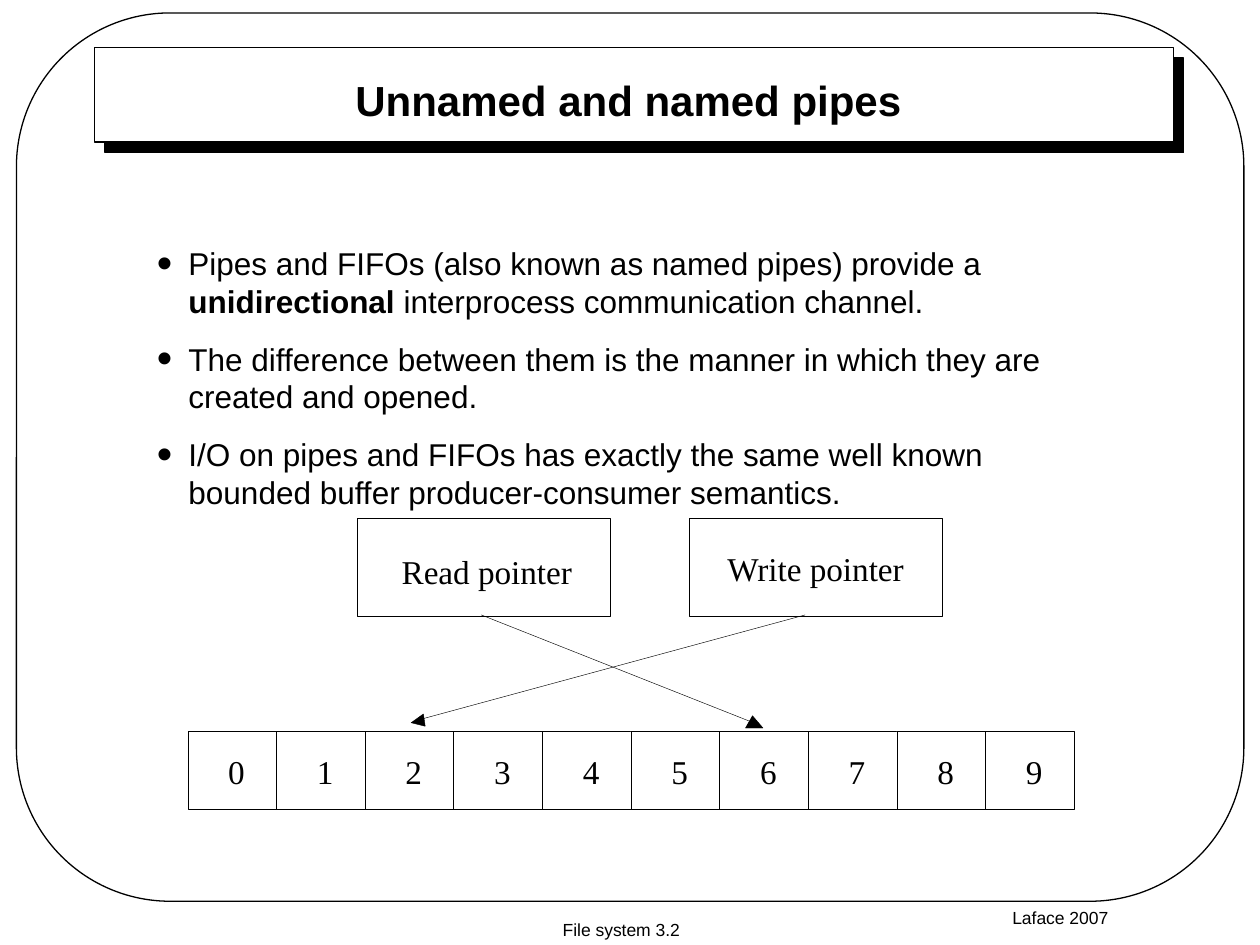
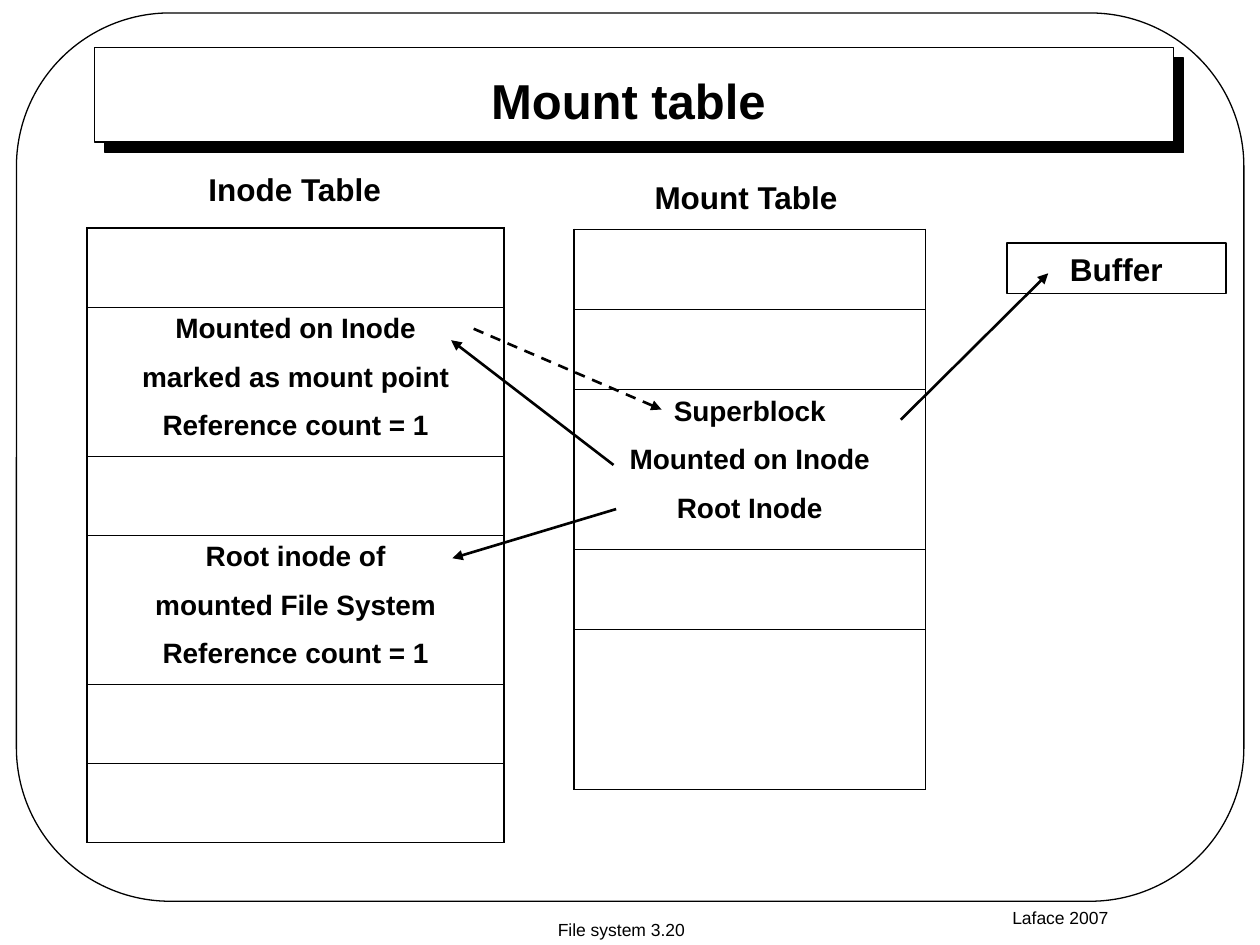
from lxml.etree import SubElement
from pptx import Presentation
from pptx.dml.color import RGBColor
from pptx.enum.dml import MSO_LINE
from pptx.enum.shapes import MSO_CONNECTOR, MSO_SHAPE
from pptx.enum.text import MSO_ANCHOR, MSO_AUTO_SIZE, PP_ALIGN
from pptx.oxml import parse_xml
from pptx.oxml.ns import nsdecls, qn
from pptx.util import Pt

COLORS = {"ink": "000000", "paper": "FFFFFF"}
HAIRLINE = 0.25

# Shared frame: left, top, width, height in points
BAND = (54, 27.2, 616.5, 54)
OUTLINE = (9.4, 7.4, 701.4, 507.6)
TITLE = (88, 38.9, 542.2, 36)
CREDIT = (491.8, 514.8, 228.2, 25.2)
FOOTER = (294.5, 521.3, 121, 19.4)

SANS = {"name": "Arial", "size": Pt(10), "bold": False}
SERIF = {**SANS, "name": "Times New Roman", "size": Pt(19)}
HEADING = {**SANS, "size": Pt(18), "bold": True}
ENTRY = {**SANS, "size": Pt(16), "bold": True}
MARGINS = {"margin_left": Pt(7.2), "margin_right": Pt(7.2),
           "margin_top": Pt(3.6), "margin_bottom": Pt(3.6)}
TOP = {**MARGINS, "word_wrap": True, "auto_size": MSO_AUTO_SIZE.NONE,
       "vertical_anchor": MSO_ANCHOR.TOP}
MIDDLE = {**TOP, "vertical_anchor": MSO_ANCHOR.MIDDLE}
CENTER = {"alignment": PP_ALIGN.CENTER}

PIPES = {
    "title": "Unnamed and named pipes", "title_size": 24, "footer": "File system 3.2",
    "body_box": (82.5, 136.1, 553.7, 324),
    # each point is a list of (text, bold) runs
    "points": [
        [("Pipes and FIFOs (also known as named pipes) provide a ", False),
         ("unidirectional", True),
         (" interprocess communication channel.", False)],
        [("The difference between them is the manner in which they are "
          "created and opened.", False)],
        [("I/O on pipes and FIFOs has exactly the same well known "
          "bounded buffer producer-consumer semantics.", False)],
    ],
    "slots": 10, "slot_box": (107.3, 417.8, 50.65, 44.6),
    # label, box, left and top inset
    "pointers": [("Read pointer", (204.4, 296.2, 144.6, 56.2), (3, 4)),
                 ("Write pointer", (393.8, 296.2, 144.6, 56.2), (0, 1))],
    # line start, line end, arrowhead corners
    "pointer_arrows": [
        ((275, 351.4), (431.3, 413.3), [(429.8, 409), (435.6, 416.2), (425.5, 416.2)]),
        ((460.1, 351.4), (237.6, 411.8), [(243.4, 414.7), (234.7, 413.3), (241.9, 407.5)]),
    ],
}

MOUNT = {
    "title": "Mount table", "title_size": 28, "footer": "File system 3.20",
    # heading, heading box, table left, top and width, then (row height, lines)
    "tables": [
        ("Inode Table", (91.4, 93.9, 154.1, 28.8), (49.8, 130.3, 238.3), [
            (45.2, []),
            (85.2, ["Mounted on Inode", "marked as mount point", "Reference count = 1"]),
            (45.2, []),
            (85.2, ["Root inode of", "mounted File System", "Reference count = 1"]),
            (45.2, []), (45.2, [])]),
        ("Mount Table", (349.3, 98.2, 154.1, 28.8), (328.1, 131.2, 200.7), [
            (45.7, []), (45.7, []),
            (91.4, ["Superblock", "Mounted on Inode", "Root Inode"]),
            (45.7, []), (91.4, [])]),
    ],
    "buffer": ("Buffer", (575.3, 139, 125.3, 28.8)),
    # start, end, dash style
    "links": [((514.8, 239.8), (599, 156.2), None),
              ((350.6, 265.7), (257.8, 194.4), None),
              ((270.7, 187.9), (378, 234), MSO_LINE.DASH),
              ((352.1, 290.9), (258.5, 319), None)],
}


def rgb(key):
    return RGBColor.from_string(COLORS[key])


def apply(target, values):
    for name, value in values.items():
        setattr(target, name, value)


def add_run(p, text, font):
    r = p.add_run()
    r.text = text
    apply(r.font, font)
    r.font.color.rgb = rgb("ink")


def write(tf, lines, font, frame, para=CENTER):
    apply(tf, frame)
    for i, line in enumerate(lines):
        p = tf.add_paragraph() if i else tf.paragraphs[0]
        apply(p, para)
        add_run(p, line, font)


def place(sp, box):
    apply(sp, dict(zip(("left", "top", "width", "height"), map(Pt, box))))


def add_label(s, text, box, font, frame=TOP):
    write(s.shapes.add_textbox(*map(Pt, box)).text_frame, [text], font, frame)


def style_outline(sp, width, fill=None):
    sp.shadow.inherit = False
    if fill:
        sp.fill.solid()
        sp.fill.fore_color.rgb = rgb(fill)
    else:
        sp.fill.background()
    sp.line.color.rgb = rgb("ink")
    sp.line.width = Pt(width)


def add_box(s, box, width, fill=None, kind=MSO_SHAPE.RECTANGLE):
    sp = s.shapes.add_shape(kind, *map(Pt, box))
    style_outline(sp, width, fill)
    return sp


def add_line(s, start, end, width, dash=None, arrow=False):
    c = s.shapes.add_connector(MSO_CONNECTOR.STRAIGHT, *map(Pt, start + end))
    c.line.color.rgb = rgb("ink")
    c.line.width = Pt(width)
    if dash:
        c.line.dash_style = dash
    if arrow:
        SubElement(c.element.spPr.find(qn("a:ln")), qn("a:tailEnd"), type="triangle")
    SubElement(c.element.spPr, qn("a:effectLst"))


def add_hard_shadow(sp):
    effects = sp.element.spPr.find(qn("a:effectLst"))
    effects.append(parse_xml(
        f'<a:outerShdw {nsdecls("a")} blurRad="0" dist="{Pt(8.5)}" dir="2700000" '
        f'algn="ctr" rotWithShape="0"><a:srgbClr val="{COLORS["ink"]}"/></a:outerShdw>'))


def add_slide(prs, layout, content):
    """Add a slide with the shared band, outline, title and footers."""
    s = prs.slides.add_slide(prs.slide_layouts[layout])
    add_hard_shadow(add_box(s, BAND, 0.75, "paper"))
    add_label(s, "Laface 2007", CREDIT, SANS)
    add_box(s, OUTLINE, 0.75, kind=MSO_SHAPE.ROUNDED_RECTANGLE).adjustments[0] = 0.173
    add_label(s, content["footer"], FOOTER, SANS, {**MIDDLE, "word_wrap": False})
    title = s.shapes.title
    place(title, TITLE)
    write(title.text_frame, [content["title"]],
          {**HEADING, "size": Pt(content["title_size"])}, MIDDLE)
    title.element.getparent().append(title.element)  # in front of the band
    return s


def add_bullet(p):
    pPr = p._p.get_or_add_pPr()
    pPr.set("marL", str(Pt(18)))
    pPr.set("indent", str(Pt(-18)))
    color = SubElement(pPr, qn("a:buClr"))
    SubElement(color, qn("a:srgbClr"), val=COLORS["ink"])
    SubElement(pPr, qn("a:buSzPct"), val="140000")
    SubElement(pPr, qn("a:buFont"), typeface="Arial")
    SubElement(pPr, qn("a:buChar"), char="•")


def set_borders(cell, first, last):
    tcPr = cell._tc.get_or_add_tcPr()
    widths = {"L": 1.08, "R": 1.08,
              "T": 1.08 if first else 0.45, "B": 1.08 if last else 0.45}
    for i, (side, width) in enumerate(widths.items()):
        tcPr.insert(i, parse_xml(
            f'<a:ln{side} {nsdecls("a")} w="{Pt(width)}"><a:solidFill>'
            f'<a:srgbClr val="{COLORS["ink"]}"/></a:solidFill></a:ln{side}>'))


def add_stack(s, left, top, width, rows):
    """Add a one-column table of (row height, lines)."""
    height = sum(h for h, _ in rows)
    table = s.shapes.add_table(len(rows), 1, *map(Pt, (left, top, width, height))).table
    table.first_row = table.horz_banding = False
    for i, (h, lines) in enumerate(rows):
        table.rows[i].height = Pt(h)
        cell = table.cell(i, 0)
        cell.fill.background()
        set_borders(cell, i == 0, i == len(rows) - 1)
        apply(cell, MARGINS)
        write(cell.text_frame, lines, ENTRY, {}, {**CENTER, "space_before": Pt(10)})


def build_pipes(prs):
    s = add_slide(prs, 1, PIPES)
    body = s.placeholders[1]
    place(body, PIPES["body_box"])
    tf = body.text_frame
    apply(tf, TOP)
    for i, point in enumerate(PIPES["points"]):
        p = tf.add_paragraph() if i else tf.paragraphs[0]
        apply(p, {"space_before": Pt(11.2), "line_spacing": 1.0})
        add_bullet(p)
        for text, bold in point:
            add_run(p, text, {**SANS, "size": Pt(18), "bold": bold})

    x, y, w, h = PIPES["slot_box"]
    slots = [(str(i), (x + i * w, y, w, h), (5, 1)) for i in range(PIPES["slots"])]
    for text, box, (left, top) in slots + PIPES["pointers"]:
        frame = {**MIDDLE, "margin_left": Pt(left), "margin_top": Pt(top),
                 "margin_right": 0, "margin_bottom": 0}
        write(add_box(s, box, HAIRLINE, "paper").text_frame, [text], SERIF, frame)
    for start, end, corners in PIPES["pointer_arrows"]:
        add_line(s, start, end, HAIRLINE)
        builder = s.shapes.build_freeform(*corners[0], scale=Pt(1))
        builder.add_line_segments(corners[1:], close=True)
        style_outline(builder.convert_to_shape(), HAIRLINE, "ink")


def build_mount(prs):
    s = add_slide(prs, 5, MOUNT)
    for heading, heading_box, spot, rows in MOUNT["tables"]:
        add_stack(s, *spot, rows)
        add_label(s, heading, heading_box, HEADING)
    text, box = MOUNT["buffer"]
    write(add_box(s, box, 1).text_frame, [text], HEADING, MIDDLE)
    for start, end, dash in MOUNT["links"]:
        add_line(s, start, end, 1.5, dash, arrow=True)


def main():
    prs = Presentation()
    prs.slide_width, prs.slide_height = Pt(720), Pt(540)
    build_pipes(prs)
    build_mount(prs)
    prs.save("out.pptx")


if __name__ == "__main__":
    main()
